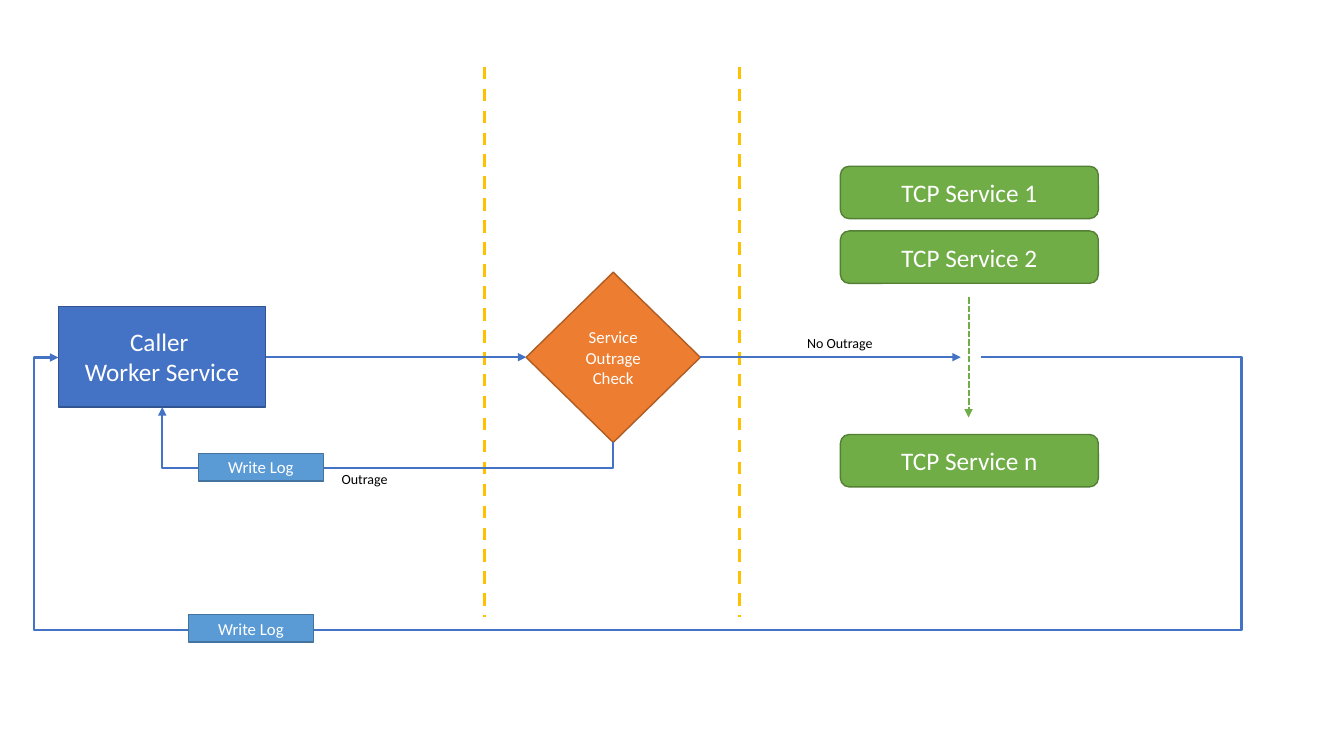
"""Build the service outage check flow slide."""
from dataclasses import dataclass

from pptx import Presentation
from pptx.dml.color import RGBColor
from pptx.enum.dml import MSO_LINE
from pptx.enum.shapes import MSO_CONNECTOR, MSO_SHAPE
from pptx.enum.text import MSO_ANCHOR, MSO_AUTO_SIZE, PP_ALIGN
from pptx.oxml.ns import qn
from pptx.util import Cm, Pt

RECTANGLE, ROUNDED, DIAMOND = MSO_SHAPE.RECTANGLE, MSO_SHAPE.ROUNDED_RECTANGLE, MSO_SHAPE.DIAMOND
STRAIGHT, ELBOW = MSO_CONNECTOR.STRAIGHT, MSO_CONNECTOR.ELBOW
DASH, SHORT_DASH = MSO_LINE.DASH, MSO_LINE.SQUARE_DOT
MIDDLE, CENTER = MSO_ANCHOR.MIDDLE, PP_ALIGN.CENTER
FIT_SHAPE = MSO_AUTO_SIZE.SHAPE_TO_FIT_TEXT
BLANK_LAYOUT = 6


@dataclass(frozen=True)
class Theme:
    """Hold the font, type sizes, line widths and fill/outline colours."""
    font: str = "Calibri"
    large: int = 18
    medium: int = 12
    small: int = 10
    outline: float = 1
    flow: float = 1.5
    divider: float = 2.25
    caller: tuple = ("4472C4", "325491")
    service: tuple = ("70AD47", "538035")
    check: tuple = ("ED7D31", "AF5C24")
    log: tuple = ("5B9BD5", "43739E")
    gold: str = "FFC000"
    white: str = "FFFFFF"
    black: str = "000000"


THEME = Theme()


def color(value):
    """Turn a hex string into a colour."""
    return RGBColor.from_string(value)


def write(para, text, size, ink):
    """Add one formatted run to a paragraph."""
    span = para.add_run()
    span.text = text
    span.font.name = THEME.font
    span.font.size = Pt(size)
    span.font.color.rgb = color(ink)


def add_box(page, kind, place, colors, size, *lines):
    """Add a filled shape with one centred paragraph per line."""
    box = page.shapes.add_shape(kind, *map(Cm, place))
    box.shadow.inherit = False
    fill, edge = colors
    box.fill.solid()
    box.fill.fore_color.rgb = color(fill)
    box.line.color.rgb = color(edge)
    box.line.width = Pt(THEME.outline)
    frame = box.text_frame
    frame.word_wrap = True
    frame.vertical_anchor = MIDDLE
    for index, text in enumerate(lines):
        para = frame.add_paragraph() if index else frame.paragraphs[0]
        para.alignment = CENTER
        write(para, text, size, THEME.white)


def add_label(page, place, text):
    """Add a small unwrapped label."""
    box = page.shapes.add_textbox(*map(Cm, place))
    frame = box.text_frame
    frame.word_wrap = False
    frame.auto_size = FIT_SHAPE
    write(frame.paragraphs[0], text, THEME.small, THEME.black)


def add_line(page, ends, ink, width=THEME.flow, dash=None, arrow=True, kind=STRAIGHT):
    """Add a connector, by default with an arrowhead at its end."""
    line = page.shapes.add_connector(kind, *map(Cm, ends))
    line.line.color.rgb = color(ink)
    line.line.width = Pt(width)
    if dash is not None:
        line.line.dash_style = dash
    properties = line._element.spPr
    if arrow:
        outline = properties.find(qn("a:ln"))
        outline.append(outline.makeelement(qn("a:tailEnd"), {"type": "triangle"}))
    properties.append(properties.makeelement(qn("a:effectLst"), {}))
    return line


def add_elbow(page, frame, preset, adjustments, degrees, flip):
    """Add a bent arrow from its unrotated frame, bends, turn and flip."""
    left, top, width, height = frame
    ends = (left, top, left + width, top + height)
    line = add_line(page, ends, THEME.caller[0], kind=ELBOW)
    properties = line._element.spPr
    transform = properties.find(qn("a:xfrm"))
    transform.set("rot", str(degrees * 60000))
    transform.set(flip, "1")
    geometry = properties.find(qn("a:prstGeom"))
    geometry.set("prst", preset)
    guides = geometry.find(qn("a:avLst"))
    for number, share in enumerate(adjustments, 1):
        formula = f"val {round(share * 100000)}"
        guides.append(guides.makeelement(qn("a:gd"), {"name": f"adj{number}", "fmla": formula}))


def add_outrage_return(page, start, end, drop):
    """Lead from the check down and back up to the caller."""
    (start_x, start_y), (end_x, end_y) = start, end
    width, height = start_y - end_y, start_x - end_x
    left = (start_x + end_x - width) / 2
    top = (start_y + end_y - height) / 2
    add_elbow(page, (left, top, width, height), "bentConnector3", [-drop / width], 90, "flipH")


def add_service_return(page, start_x, end_x, level, right, bottom, left):
    """Lead from the services around the bottom back to the caller."""
    width, height = start_x - end_x, 0.01
    bends = [(start_x - right) / width, (bottom - level) / height, (start_x - left) / width]
    add_elbow(page, (end_x, level, width, height), "bentConnector5", bends, 180, "flipV")


def main():
    """Build and save the slide."""
    deck = Presentation()
    deck.slide_width, deck.slide_height = Cm(33.87), Cm(19.05)
    page = deck.slides.add_slide(deck.slide_layouts[BLANK_LAYOUT])
    blue, green = THEME.caller[0], THEME.service[0]
    level = 9

    add_box(page, RECTANGLE, (1.47, 7.72, 5.23, 2.54), THEME.caller, THEME.large,
            "Caller ", "Worker Service")
    for name, top in (("1", 4.19), ("2", 5.82), ("n", 10.95)):
        add_box(page, ROUNDED, (21.18, top, 6.5, 1.32), THEME.service, THEME.large,
                f"TCP Service {name}")
    add_line(page, (24.41, 7.49, 24.41, 10.52), green, dash=SHORT_DASH)
    for x in (12.22, 18.64):
        add_line(page, (x, 1.68, x, 15.54), THEME.gold, THEME.divider, DASH, arrow=False)
    add_box(page, DIAMOND, (13.26, 6.86, 4.39, 4.29), THEME.check, THEME.medium,
            "Service Outrage Check")

    for start_x, end_x in ((6.7, 13.26), (17.65, 24.21)):
        add_line(page, (start_x, level, end_x, level), blue)
    add_label(page, (20.09, 8.31, 2.18, 0.69), "No Outrage")
    add_outrage_return(page, (15.46, 11.15), (4.09, 10.26), 0.64)
    add_label(page, (8.36, 11.73, 1.7, 0.69), "Outrage")
    add_service_return(page, 24.71, 1.47, level, 31.29, 15.88, 0.86)
    for left, top in ((5, 11.43), (4.75, 15.49)):
        add_box(page, RECTANGLE, (left, top, 3.15, 0.69), THEME.log, THEME.medium, "Write Log")

    deck.save("out.pptx")


main()
